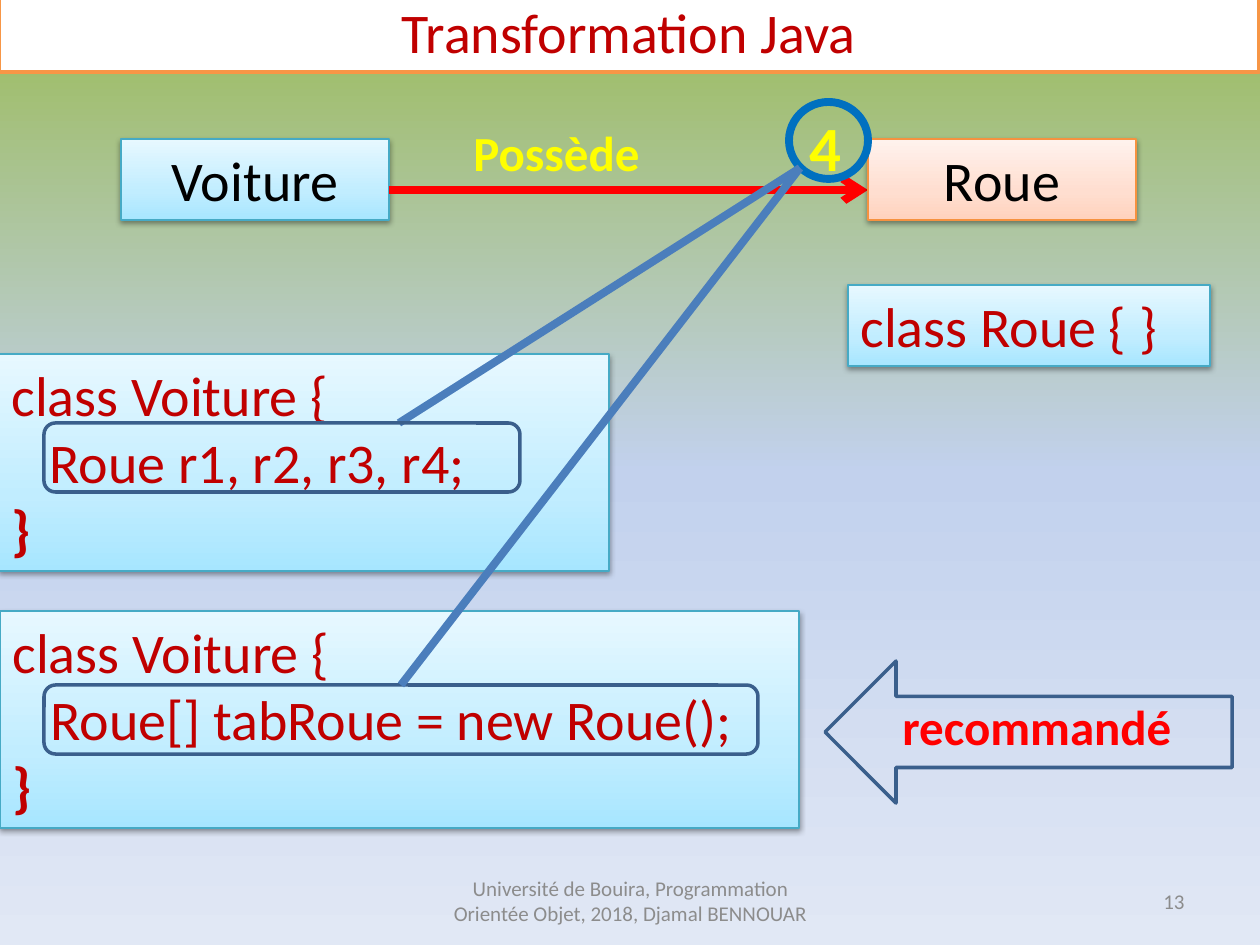
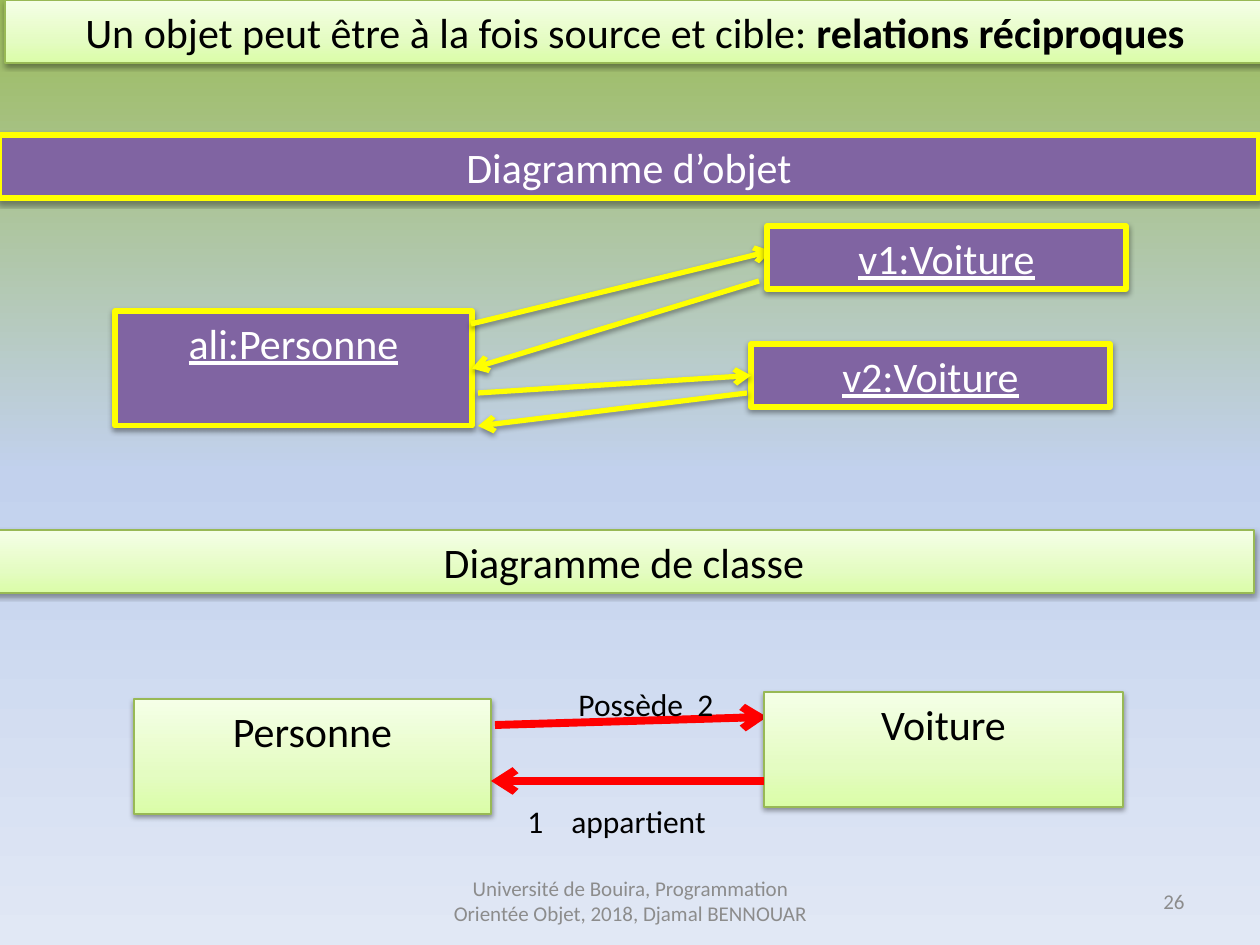
from lxml.etree import SubElement
from pptx import Presentation
from pptx.dml.color import RGBColor
from pptx.enum.shapes import MSO_CONNECTOR, MSO_SHAPE
from pptx.enum.text import MSO_ANCHOR, PP_ALIGN
from pptx.oxml.ns import qn
from pptx.util import Emu, Pt

# ---- Shared look ----
FONT = "Calibri"
PX_PER_INCH = 126
COLOURS = {
    "white": "FFFFFF", "black": "000000", "grey": "8C8C8C", "crimson": "C00000",
    "red": "FF0000", "yellow": "FFFF00", "purple": "8064A2", "orange": "F79646",
    "orange edge": "F69240", "cyan edge": "46AAC5", "green edge": "98B955",
    "ring": "0070C0", "pointer": "4B7EBC", "frame": "3A5F8C",
}
# Gradients: angle in degrees, then (position in %, colour) stops
GRADIENTS = {
    "sky": (90, [(0, "9BBB59"), (50, "C2D1ED"), (100, "E1E8F5")]),
    "cyan": (270, [(0, "A7E6FF"), (35, "C1EDFF"), (100, "E7F8FF")]),
    "peach": (270, [(0, "FFD2BD"), (35, "FFDED0"), (100, "FFF2ED")]),
    "green": (270, [(0, "DAFDA7"), (35, "E4FCC2"), (100, "F5FFE7")]),
}
# Box looks: preset, fill, line colour, line width, shadow
LOOKS = {
    "title": (MSO_SHAPE.RECTANGLE, "white", "orange", 2, False),
    "cyan": (MSO_SHAPE.RECTANGLE, "cyan", "cyan edge", 0.75, True),
    "peach": (MSO_SHAPE.RECTANGLE, "peach", "orange edge", 0.75, True),
    "green": (MSO_SHAPE.RECTANGLE, "green", "green edge", 0.75, True),
    "object": (MSO_SHAPE.RECTANGLE, "purple", "yellow", 3, True),
    "ring": (MSO_SHAPE.OVAL, None, "ring", 4.5, False),
    "frame": (MSO_SHAPE.ROUNDED_RECTANGLE, None, "frame", 2, False),
    "advice": (MSO_SHAPE.LEFT_ARROW, None, "frame", 2, False),
}
# Line looks: colour, width, arrowhead, shadow
LINES = {
    "association": ("red", 4.5, True, False),
    "pointer": ("pointer", 4.5, False, False),
    "link": ("yellow", 3, True, True),
}
# Text looks: size, colour, alignment, then font switches
CENTRE, LEFT, RIGHT = PP_ALIGN.CENTER, PP_ALIGN.LEFT, PP_ALIGN.RIGHT
TEXTS = {
    "heading": (32, "crimson", CENTRE, {}),
    "class": (32, "black", CENTRE, {}),
    "code": (32, "crimson", LEFT, {}),
    "relation": (28, "yellow", LEFT, {"bold": True}),
    "advice": (28, "red", LEFT, {"bold": True}),
    "band": (24, "black", CENTRE, {}),
    "object band": (24, "white", CENTRE, {}),
    "object": (24, "white", CENTRE, {"underline": True}),
    "label": (18, "black", LEFT, {}),
    "footer": (12, "grey", CENTRE, {}),
    "number": (12, "grey", RIGHT, {}),
}

# ---- Content ----
FOOTER = "Université de Bouira, Programmation Orientée Objet, 2018, Djamal BENNOUAR"
BOLD = {"bold": True}
RIGHT_SIDE, LEFT_SIDE, TOP_SIDE = 3, 1, 0
RELATION_TIP = (800, 168)


def code(*lines):
    """Code lines with a bold closing brace."""
    return [[(line, {})] for line in lines] + [[("}", BOLD)]]


def line_of(text):
    return [[(text, {})]]


# box: place, look, text look, paragraphs, key / label: place, text look, paragraphs, tab
# line: look, start, end, each a point or (key, side)
SLIDES = [
    ("13", [
        ("box", (-1, -9, 1260, 81), "title", "heading", line_of("Transformation Java")),
        ("box", (121, 139, 268, 81), "cyan", "class", line_of("Voiture")),
        ("line", "association", (389, 190), (868, 190)),
        ("box", (868, 139, 268, 81), "peach", "class", line_of("Roue")),
        ("label", (461, 102, 431, 89), "relation",
         [[("Possède", {}), ("\t4", {"size": Pt(36)})]], 336),
        ("box", (-1, 354, 610, 217), "cyan", "code",
         code("class Voiture {", "   Roue r1, r2, r3, r4;")),
        ("box", (0, 611, 799, 217), "cyan", "code",
         code("class Voiture {", "   Roue[] tabRoue = new Roue();")),
        ("box", (848, 285, 362, 81), "cyan", "code", line_of("class Roue { }")),
        ("box", (789, 102, 79, 77), "ring"),
        ("line", "pointer", (399, 423), RELATION_TIP),
        ("box", (44, 423, 476, 69), "frame"),
        ("box", (44, 685, 714, 69), "frame", None, [], "table field"),
        ("line", "pointer", ("table field", TOP_SIDE), RELATION_TIP),
        ("label", (890, 690, 343, 72), "advice", line_of("recommandé")),
        ("box", (825, 661, 407, 142), "advice"),
    ]),
    ("26", [
        ("box", (5, 0, 1260, 63), "green", "band",
         [[("Un objet peut être à la fois source et cible: ", {}),
           ("relations réciproques", BOLD)]]),
        ("box", (115, 311, 357, 115), "object", "object", line_of("ali:Personne"), "ali"),
        ("line", "link", (471, 324), (771, 251)),
        ("box", (767, 226, 359, 63), "object", "object", line_of("v1:Voiture")),
        ("line", "link", (759, 281), ("ali", RIGHT_SIDE)),
        ("box", (-6, 530, 1260, 63), "green", "band", line_of("Diagramme de classe")),
        ("box", (134, 699, 357, 115), "green", "band", line_of("Personne")),
        ("line", "association", (495, 725), (767, 717)),
        ("box", (764, 692, 359, 115), "green", "band", line_of("Voiture")),
        ("line", "association", (764, 781), (491, 781)),
        ("label", (566, 679, 270, 50), "label", line_of("Possède\t2"), 119),
        ("label", (515, 796, 341, 50), "label", line_of("1\tappartient"), 44),
        ("box", (-1, 135, 1260, 63), "object", "object band", line_of("Diagramme d’objet")),
        ("box", (751, 344, 359, 63), "object", "object", line_of("v2:Voiture"), "v2"),
        ("line", "link", (478, 393), ("v2", LEFT_SIDE)),
        ("line", "link", (747, 393), (478, 426)),
    ]),
]


# ---- Drawing ----
def px(length):
    return Emu(round(length * 914400 / PX_PER_INCH))


def scaled(place):
    return [px(length) for length in place]


def rgb(name):
    return RGBColor.from_string(COLOURS[name])


def paint_gradient(fill, owner, name):
    angle, stops = GRADIENTS[name]
    fill.gradient()
    gradient = next(owner.iter(qn("a:gradFill")))
    stop_list = gradient.find(qn("a:gsLst"))
    for stop in list(stop_list):
        stop_list.remove(stop)
    for position, colour in stops:
        stop = SubElement(stop_list, qn("a:gs"), pos=str(position * 1000))
        SubElement(stop, qn("a:srgbClr"), val=colour)
    gradient.find(qn("a:lin")).set("ang", str(angle * 60000))


def set_shadow(part, shown):
    effects = SubElement(part._element.spPr, qn("a:effectLst"))
    if shown:
        shadow = SubElement(effects, qn("a:outerShdw"), blurRad="40000", dist="20000",
                            dir="5400000", rotWithShape="0")
        colour = SubElement(shadow, qn("a:srgbClr"), val=COLOURS["black"])
        SubElement(colour, qn("a:alpha"), val="38000")


def set_line(part, colour, width):
    part.line.color.rgb = rgb(colour)
    part.line.width = Pt(width)


def write(frame, text_look, paragraphs, tab=None, anchor=MSO_ANCHOR.TOP):
    size, colour, alignment, switches = TEXTS[text_look]
    frame.word_wrap = True
    frame.vertical_anchor = anchor
    for index, runs in enumerate(paragraphs):
        paragraph = frame.add_paragraph() if index else frame.paragraphs[0]
        paragraph.alignment = alignment
        if tab:
            tabs = SubElement(paragraph._p.get_or_add_pPr(), qn("a:tabLst"))
            SubElement(tabs, qn("a:tab"), pos=str(px(tab)), algn="l")
        for text, changes in runs:
            run = paragraph.add_run()
            run.text = text
            run.font.name = FONT
            run.font.color.rgb = rgb(colour)
            for switch, value in {"size": Pt(size), **switches, **changes}.items():
                setattr(run.font, switch, value)


def add_box(slide, keyed, place, look, text_look=None, paragraphs=(), key=None):
    preset, fill, edge, width, shadow = LOOKS[look]
    box = slide.shapes.add_shape(preset, *scaled(place))
    if fill is None:
        box.fill.background()
    elif fill in GRADIENTS:
        paint_gradient(box.fill, box._element, fill)
    else:
        box.fill.solid()
        box.fill.fore_color.rgb = rgb(fill)
    set_line(box, edge, width)
    box.shadow.inherit = False
    box._element.spPr.remove(box._element.spPr.find(qn("a:effectLst")))
    set_shadow(box, shadow)
    if text_look:
        write(box.text_frame, text_look, paragraphs)
    if key:
        keyed[key] = box


def add_label(slide, keyed, place, text_look, paragraphs, tab=None, anchor=MSO_ANCHOR.TOP):
    label = slide.shapes.add_textbox(*scaled(place))
    write(label.text_frame, text_look, paragraphs, tab, anchor)


def add_line(slide, keyed, look, start, end):
    colour, width, arrowhead, shadow = LINES[look]
    joined = [point[0] in keyed for point in (start, end)]
    ends = [(0, 0) if is_joined else point for point, is_joined in zip((start, end), joined)]
    line = slide.shapes.add_connector(MSO_CONNECTOR.STRAIGHT, *scaled(ends[0] + ends[1]))
    if joined[0]:
        line.begin_connect(keyed[start[0]], start[1])
    if joined[1]:
        line.end_connect(keyed[end[0]], end[1])
    set_line(line, colour, width)
    if arrowhead:
        SubElement(line.line._get_or_add_ln(), qn("a:tailEnd"), type="arrow")
    set_shadow(line, shadow)


def main():
    deck = Presentation()
    deck.slide_width, deck.slide_height = scaled((1260, 945))
    draw = {"box": add_box, "label": add_label, "line": add_line}
    for number, parts in SLIDES:
        slide = deck.slides.add_slide(deck.slide_layouts[6])
        paint_gradient(slide.background.fill, slide._element, "sky")
        keyed = {}
        # Footer and slide number
        for place, look, text in (((431, 876, 399, 50), "footer", FOOTER),
                                  ((903, 876, 294, 50), "number", number)):
            add_label(slide, keyed, place, look, line_of(text), anchor=MSO_ANCHOR.MIDDLE)
        # Diagram parts, back to front
        for kind, *details in parts:
            draw[kind](slide, keyed, *details)
    deck.save("out.pptx")


if __name__ == "__main__":
    main()
